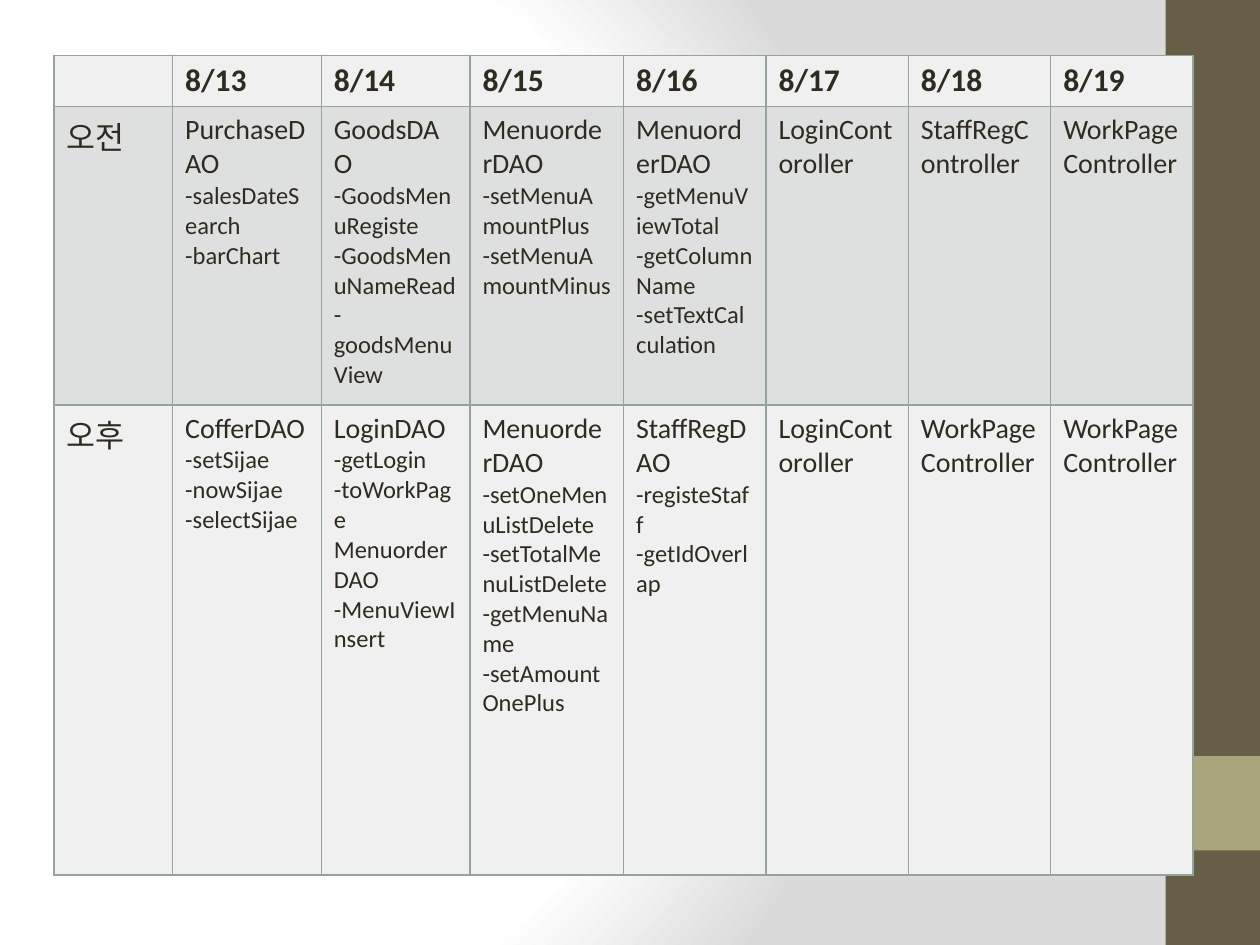
from dataclasses import dataclass

from pptx import Presentation
from pptx.dml.color import RGBColor
from pptx.enum.shapes import MSO_SHAPE
from pptx.oxml import parse_xml
from pptx.oxml.ns import nsdecls, qn
from pptx.util import Inches, Pt


@dataclass(frozen=True)
class Theme:
    font: str = "Calibri"
    ink: str = "2F2B20"
    border: str = "95A39D"
    light_row: str = "EFF0EF"
    dark_row: str = "DDE0DF"
    band: str = "675E47"
    accent: str = "A9A57C"
    glow: str = "FFFFFF"
    shade: str = "DADADA"
    label_size: int = 18
    class_size: int = 16
    method_size: int = 14
    border_width: int = 1


THEME = Theme()

COLUMN_WIDTHS = [0.94, 1.18, 1.18, 1.22] + [1.13] * 4
ROW_HEIGHTS = [0.4, 2.37, 3.73]
DATES = [f"8/{day}" for day in range(13, 20)]

MORNING = [
    ["PurchaseDAO", "-salesDateSearch", "-barChart"],
    ["GoodsDAO", "-GoodsMenuRegiste", "-GoodsMenuNameRead-goodsMenuView"],
    ["MenuorderDAO", "-setMenuAmountPlus", "-setMenuAmountMinus"],
    ["MenuorderDAO", "-getMenuViewTotal", "-getColumnName", "-setTextCalculation"],
    ["LoginContoroller"],
    ["StaffRegController"],
    ["WorkPageController"],
]
AFTERNOON = [
    ["CofferDAO", "-setSijae", "-nowSijae", "-selectSijae"],
    ["LoginDAO", "-getLogin", "-toWorkPage", "MenuorderDAO", "-MenuViewInsert"],
    ["MenuorderDAO", "-setOneMenuListDelete", "-setTotalMenuListDelete",
     "-getMenuName", "-setAmountOnePlus"],
    ["StaffRegDAO", "-registeStaff", "-getIdOverlap"],
    ["LoginContoroller"],
    ["WorkPageController"],
    ["WorkPageController"],
]


def paint_background(slide):
    slide.background.fill.solid()
    properties = slide._element.find(".//" + qn("p:bgPr"))
    stops = "".join(
        f'<a:gs pos="{position * 1000}"><a:srgbClr val="{color}"/></a:gs>'
        for position, color in [(0, THEME.glow), (75, THEME.glow), (100, THEME.shade)]
    )
    gradient = parse_xml(
        f'<a:gradFill {nsdecls("a")} rotWithShape="1"><a:gsLst>{stops}</a:gsLst>'
        '<a:path path="circle">'
        '<a:fillToRect l="20000" t="50000" r="100000" b="50000"/>'
        "</a:path></a:gradFill>"
    )
    properties.replace(properties.find(qn("a:solidFill")), gradient)


def add_side_block(slide, top, height, color):
    block = slide.shapes.add_shape(
        MSO_SHAPE.RECTANGLE, Inches(9.25), Inches(top), Inches(0.75), Inches(height)
    )
    block.shadow.inherit = False
    block.fill.solid()
    block.fill.fore_color.rgb = RGBColor.from_string(color)
    block.line.fill.background()


def add_line(paragraph, text, size, bold=False):
    run = paragraph.add_run()
    run.text = text
    run.font.name = THEME.font
    run.font.size = Pt(size)
    run.font.bold = bold
    run.font.color.rgb = RGBColor.from_string(THEME.ink)


def style_cell(cell, fill):
    properties = cell._tc.get_or_add_tcPr()
    for side in ("lnL", "lnR", "lnT", "lnB"):
        properties.append(parse_xml(
            f'<a:{side} {nsdecls("a")} w="{Pt(THEME.border_width)}"><a:solidFill>'
            f'<a:srgbClr val="{THEME.border}"/></a:solidFill></a:{side}>'
        ))
    cell.fill.solid()
    cell.fill.fore_color.rgb = RGBColor.from_string(fill)


def fill_label(cell, text, bold=False):
    add_line(cell.text_frame.paragraphs[0], text, THEME.label_size, bold)


def fill_task(cell, lines):
    frame = cell.text_frame
    class_name, *methods = lines
    add_line(frame.paragraphs[0], class_name, THEME.class_size)
    for method in methods:
        add_line(frame.add_paragraph(), method, THEME.method_size)


def add_schedule(slide):
    schedule = slide.shapes.add_table(
        len(ROW_HEIGHTS), len(COLUMN_WIDTHS), Inches(0.43), Inches(0.44),
        Inches(sum(COLUMN_WIDTHS)), Inches(sum(ROW_HEIGHTS)),
    ).table
    schedule.first_row = False
    schedule.horz_banding = False
    for column, width in zip(schedule.columns, COLUMN_WIDTHS):
        column.width = Inches(width)

    row_fills = [THEME.light_row, THEME.dark_row, THEME.light_row]
    for row, height, fill in zip(schedule.rows, ROW_HEIGHTS, row_fills):
        row.height = Inches(height)
        for cell in row.cells:
            style_cell(cell, fill)

    for column, date in enumerate(DATES, start=1):
        fill_label(schedule.cell(0, column), date, bold=True)
    sessions = [("오전", MORNING), ("오후", AFTERNOON)]
    for row, (session, tasks) in enumerate(sessions, start=1):
        fill_label(schedule.cell(row, 0), session)
        for column, lines in enumerate(tasks, start=1):
            fill_task(schedule.cell(row, column), lines)


def main():
    presentation = Presentation()
    presentation.slide_width = Inches(10)
    presentation.slide_height = Inches(7.5)
    slide = presentation.slides.add_slide(presentation.slide_layouts[6])
    paint_background(slide)
    add_side_block(slide, 0, 7.5, THEME.band)
    add_side_block(slide, 6, 0.75, THEME.accent)
    add_schedule(slide)
    presentation.save("out.pptx")


if __name__ == "__main__":
    main()
